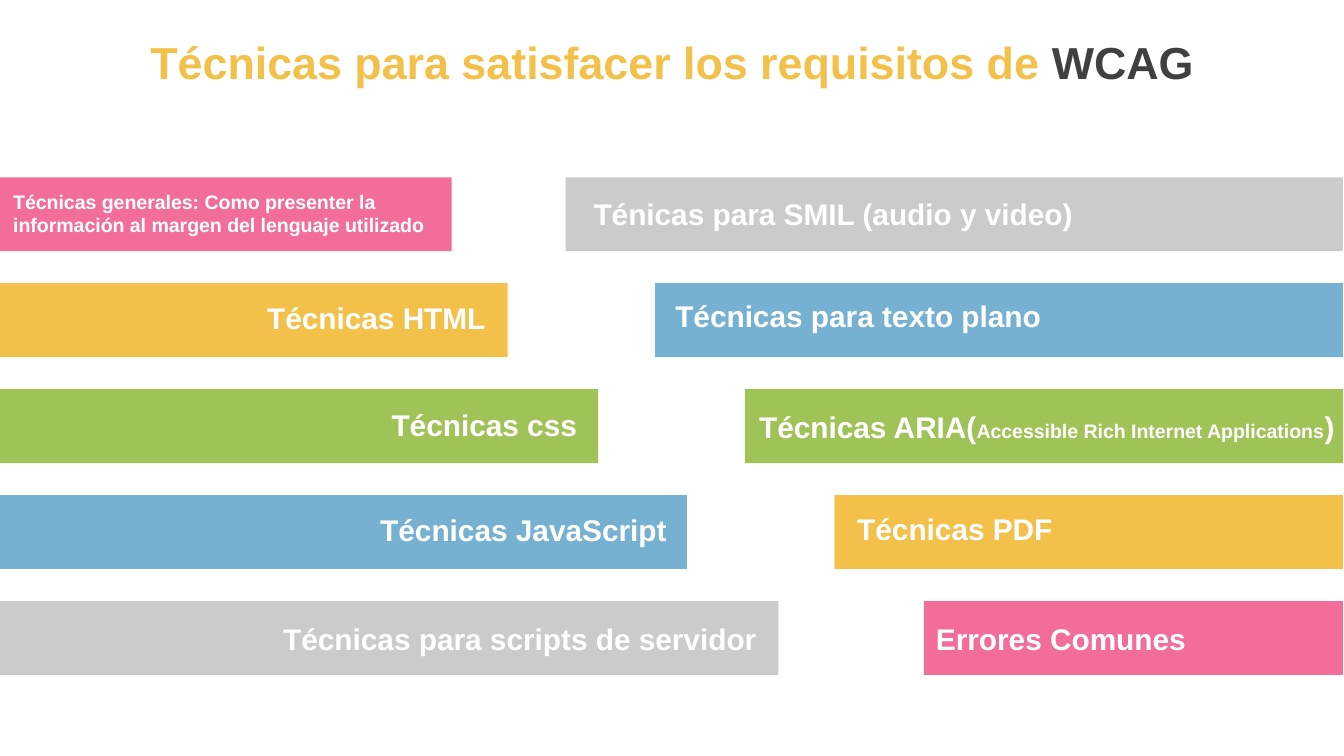
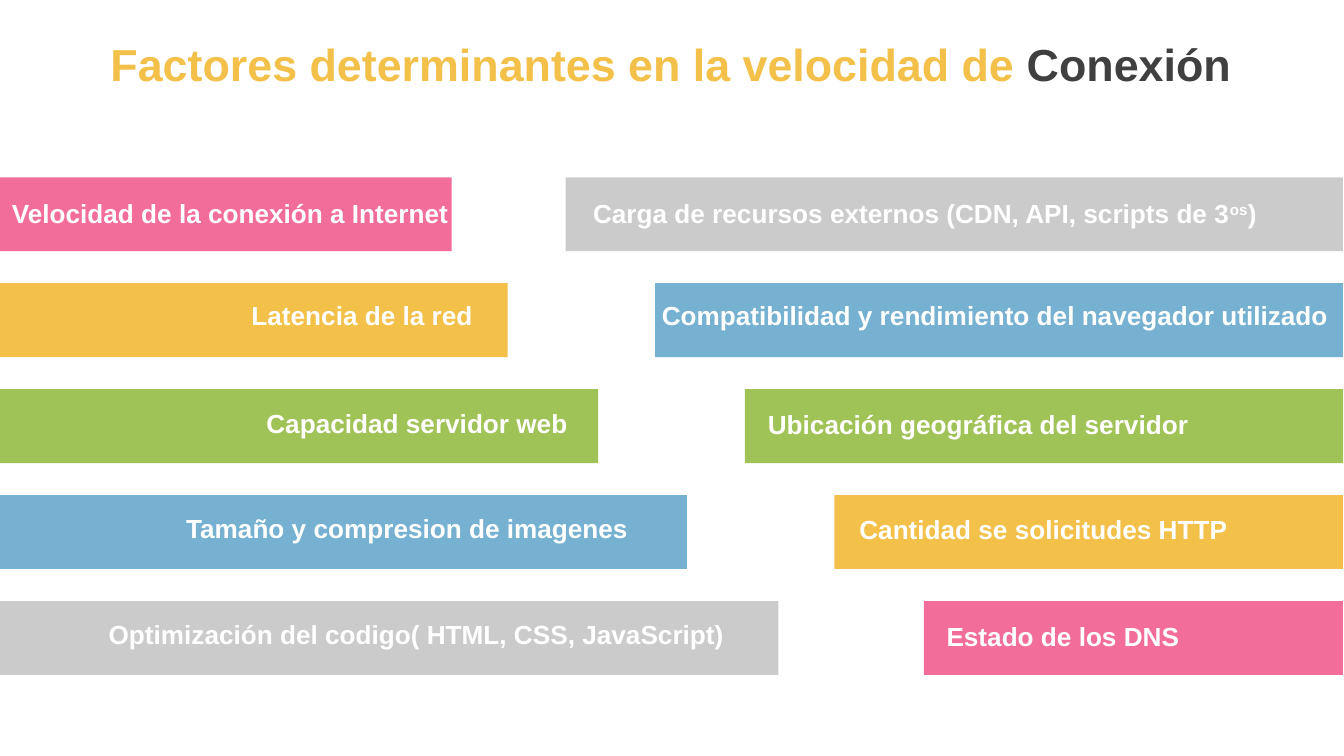
"""Build two slides of stepped colour bars about web techniques and connection speed."""
from pptx import Presentation
from pptx.dml.color import RGBColor
from pptx.enum import shapes, text
from pptx.util import Pt

COLORS = {"pink": "F26D9A", "yellow": "F3C04A", "green": "A0C358", "blue": "76B1D1",
          "gray": "CBCBCB", "dark": "404040", "white": "FFFFFF"}
ORDER = ["pink", "yellow", "green", "blue", "gray"]
LEFT_EDGES = [242, 272, 320.4, 368, 417]
RIGHT_START, RIGHT_STEP = 303, 48
BAR_TOP, BAR_STEP, BAR_H = 95, 56.75, 39.6
CENTER, LEFT = text.PP_ALIGN.CENTER, text.PP_ALIGN.LEFT
FRAME = {"word_wrap": True, "auto_size": text.MSO_AUTO_SIZE.SHAPE_TO_FIT_TEXT}
TITLE_FRAME = {"word_wrap": True, "auto_size": text.MSO_AUTO_SIZE.NONE,
               "vertical_anchor": text.MSO_ANCHOR.MIDDLE}

SLIDES = [
    {"title": ("Técnicas para satisfacer los requisitos de ", "WCAG"),
     "title_at": (0, 2.2), "size": 16, "box_h": 26.6,
     "labels": [
         (0, 98, 242, [("Técnicas generales: Como presenter la información al margen "
                        "del lenguaje utilizado", 10.5)]),
         (128.2, 157, 146.9, "Técnicas HTML"),
         (185, 214.6, 149, "Técnicas css"),
         (190.8, 270.7, 179.3, "Técnicas JavaScript"),
         (134.6, 329, 288, "Técnicas para scripts de servidor"),
         (241.9, 101.5, 409, "Ténicas para SMIL (audio y video)"),
         (311.8, 156.2, 295.9, "Técnicas para texto plano"),
         (370, 215.3, 381.6, [("Técnicas ARIA(", 16),
                              ("Accessible Rich Internet Applications", 10.5), (")", 16)]),
         (442.8, 270, 137.5, "Técnicas PDF"),
         (490.3, 329, 156.2, "Errores Comunes")]},
    {"title": ("Factores determinantes en la velocidad de ", "Conexión"),
     "title_at": (-0.7, 3.6), "size": 14, "box_h": 24.5,
     "labels": [
         (-0.7, 102.2, 266.4, "Velocidad de la conexión a Internet"),
         (113, 157, 162, "Latencia de la red"),
         (113, 214.6, 221, "Capacidad servidor web"),
         (65.5, 270.7, 305.3, "Tamaño y compresion de imagenes"),
         (12.2, 327.6, 422, "Optimización del codigo( HTML, CSS, JavaScript)"),
         (290.9, 102.2, 409, [("Carga de recursos externos (CDN, API, scripts de 3", 14),
                              ("os", 14, 30000), (")", 14)]),
         (346.3, 157, 373.7, "Compatibilidad y rendimiento del navegador utilizado"),
         (393.8, 215.3, 260.6, "Ubicación geográfica del servidor"),
         (433.4, 271.4, 251.3, "Cantidad se solicitudes HTTP"),
         (490.3, 329, 158.4, "Estado de los DNS")]},
]


def add_run(p, words, size, color):
    r = p.add_run()
    r.text = words
    for name, value in {"name": "Arial", "size": Pt(size), "bold": True}.items():
        setattr(r.font, name, value)
    r.font.color.rgb = RGBColor.from_string(COLORS[color])
    return r


def add_bar(s, x, y, w, color):
    sp = s.shapes.add_shape(shapes.MSO_SHAPE.RECTANGLE, Pt(x), Pt(y), Pt(w), Pt(BAR_H))
    sp.shadow.inherit = False
    sp.fill.solid()
    sp.fill.fore_color.rgb = RGBColor.from_string(COLORS[color])
    sp.line.fill.background()


prs = Presentation()
prs.slide_width, prs.slide_height = Pt(720), Pt(405)

for data in SLIDES:
    s = prs.slides.add_slide(prs.slide_layouts[5])
    title = s.shapes.title
    x, y = data["title_at"]
    for name, value in {"left": x, "top": y, "width": 720, "height": 61.2}.items():
        setattr(title, name, Pt(value))
    for name, value in TITLE_FRAME.items():
        setattr(title.text_frame, name, value)
    p = title.text_frame.paragraphs[0]
    p.alignment = CENTER
    for words, color in zip(data["title"], ("yellow", "dark")):
        add_run(p, words, 24, color)

    for i, edge in enumerate(LEFT_EDGES):
        y = BAR_TOP + i * BAR_STEP
        x = RIGHT_START + i * RIGHT_STEP
        add_bar(s, 0, y, edge, ORDER[i])
        add_bar(s, x, y, 719.5 - x, ORDER[-1 - i])

    for i, (x, y, w, runs) in enumerate(data["labels"]):
        sp = s.shapes.add_textbox(Pt(x), Pt(y), Pt(w), Pt(data["box_h"]))
        tf = sp.text_frame
        for name, value in FRAME.items():
            setattr(tf, name, value)
        p = tf.paragraphs[0]
        p.alignment = CENTER if i else LEFT
        if isinstance(runs, str):
            runs = [(runs, data["size"])]
        for words, size, *raised in runs:
            r = add_run(p, words, size, "white")
            if raised:
                r._r.get_or_add_rPr().set("baseline", str(raised[0]))

prs.save("out.pptx")
